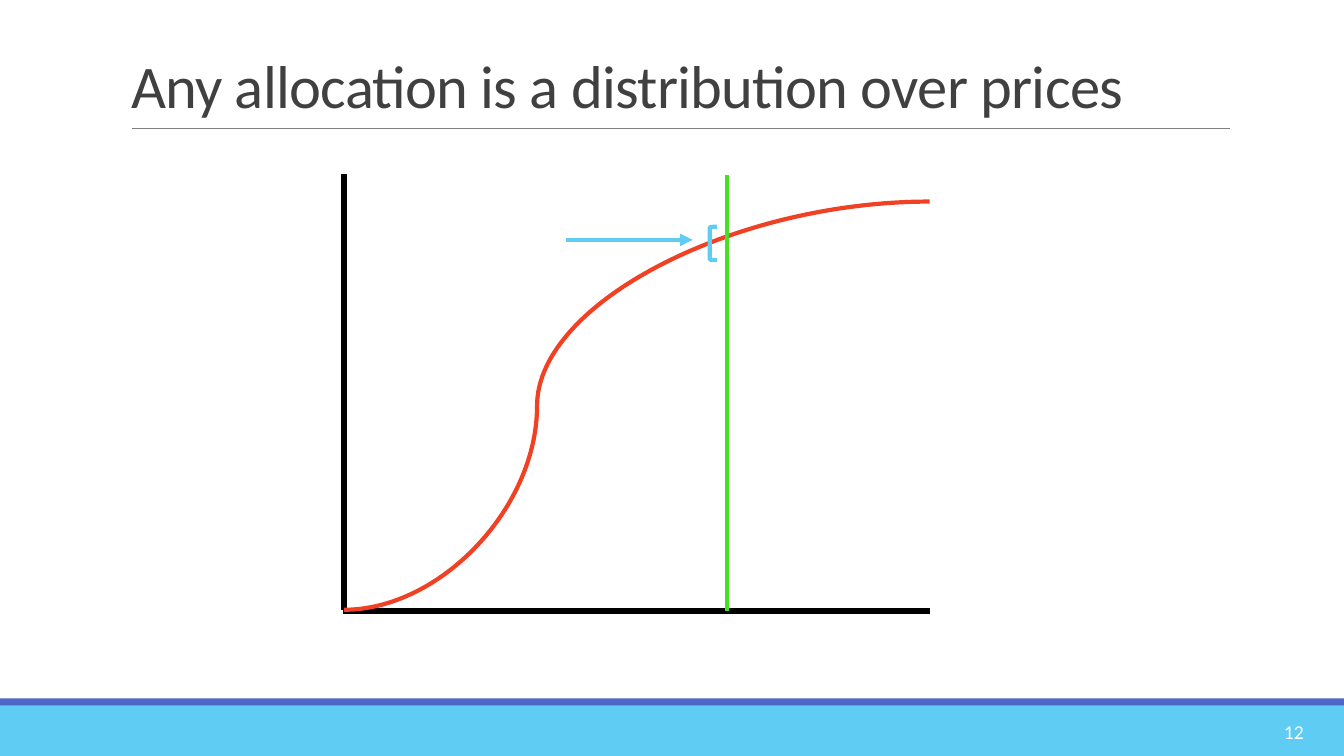
from lxml import etree
from pptx import Presentation
from pptx.dml.color import RGBColor
from pptx.enum.shapes import MSO_CONNECTOR as Link, MSO_SHAPE as Preset
from pptx.enum.text import MSO_ANCHOR as Anchor, MSO_AUTO_SIZE as AutoSize, PP_ALIGN as Align
from pptx.oxml.ns import qn
from pptx.util import Inches, Pt

BLACK = RGBColor(0x00, 0x00, 0x00)
WHITE = RGBColor(0xFF, 0xFF, 0xFF)
DARK = RGBColor(0x40, 0x40, 0x40)
GREY = RGBColor(0x80, 0x80, 0x80)
SKY = RGBColor(0x5E, 0xCC, 0xF3)
INDIGO = RGBColor(0x4E, 0x67, 0xC8)
RED = RGBColor(0xF1, 0x41, 0x24)
GREEN = RGBColor(0x48, 0xDE, 0x23)

TITLE = "Any allocation is a distribution over prices"
PAGE = "12"
WIDTH, HEIGHT = 13.33, 7.5
BANDS = [(7, 0.5, SKY), (6.93, 0.07, INDIGO)]
RULE = (1.31, 1.27, 12.2, 1.27)
AXES = [(3.41, 1.73, 3.41, 6.05), (9.22, 6.06, 3.4, 6.06)]
ALLOCATION = (3.41, 6.05, 9.22, 2)
CURVE_BEND = 0.33
PRICE = (7.21, 1.74, 7.21, 6.06)
JUMP = (7.04, 2.25, 0.07, 0.33)
POINTER = (5.61, 2.38, 6.87, 2.38)


def write(frame, text, size, color, align=Align.LEFT, anchor=Anchor.MIDDLE, leading=1.0, tracking=0):
    """Put one formatted line of text in a frame."""
    frame.word_wrap = True
    frame.auto_size = AutoSize.NONE
    frame.vertical_anchor = anchor
    paragraph = frame.paragraphs[0]
    paragraph.alignment = align
    paragraph.line_spacing = leading
    run = paragraph.add_run()
    run.text = text
    run.font.name = "Calibri"
    run.font.size = Pt(size)
    run.font.color.rgb = color
    run.font._element.set("spc", str(round(tracking * 100)))


def draw_line(slide, ends, color, weight, kind=Link.STRAIGHT, arrow=False):
    """Draw a connector between two points without a shadow."""
    connector = slide.shapes.add_connector(kind, *map(Inches, ends))
    connector.line.color.rgb = color
    connector.line.width = Pt(weight)
    if arrow:
        etree.SubElement(connector.line._get_or_add_ln(), qn("a:tailEnd"), type="triangle")
    etree.SubElement(connector._element.spPr, qn("a:effectLst"))
    return connector


def draw_shape(slide, preset, box):
    """Add a preset shape without a shadow."""
    shape = slide.shapes.add_shape(preset, *map(Inches, box))
    shape.shadow.inherit = False
    return shape


def main():
    """Build the slide."""
    deck = Presentation()
    deck.slide_width, deck.slide_height = Inches(WIDTH), Inches(HEIGHT)
    slide = deck.slides.add_slide(deck.slide_layouts[5])

    for top, height, color in BANDS:
        band = draw_shape(slide, Preset.RECTANGLE, (0, top, WIDTH, height))
        band.fill.solid()
        band.fill.fore_color.rgb = color
        band.line.fill.background()
    draw_line(slide, RULE, GREY, 0.5)

    title = slide.shapes.title
    title.left, title.top, title.width, title.height = map(Inches, (1.2, 0.36, 11, 0.89))
    write(title.text_frame, TITLE, 43.2, DARK, anchor=Anchor.BOTTOM, leading=0.85, tracking=-0.5)
    number = slide.shapes.add_textbox(*map(Inches, (11.6, 7.06, 1.43, 0.4)))
    write(number.text_frame, PAGE, 14, WHITE, align=Align.RIGHT)

    for axis in AXES:
        draw_line(slide, axis, BLACK, 4)
    curve = draw_line(slide, ALLOCATION, RED, 3, kind=Link.CURVE)
    geometry = curve._element.spPr.find(qn("a:prstGeom"))
    guides = geometry.find(qn("a:avLst"))
    if guides is None:
        guides = etree.SubElement(geometry, qn("a:avLst"))
    etree.SubElement(guides, qn("a:gd"), name="adj1", fmla=f"val {round(CURVE_BEND * 100000)}")
    draw_line(slide, PRICE, GREEN, 3)

    jump = draw_shape(slide, Preset.LEFT_BRACKET, JUMP)
    jump.fill.background()
    jump.line.color.rgb = SKY
    jump.line.width = Pt(3)
    draw_line(slide, POINTER, SKY, 3, arrow=True)

    deck.save("out.pptx")


if __name__ == "__main__":
    main()
